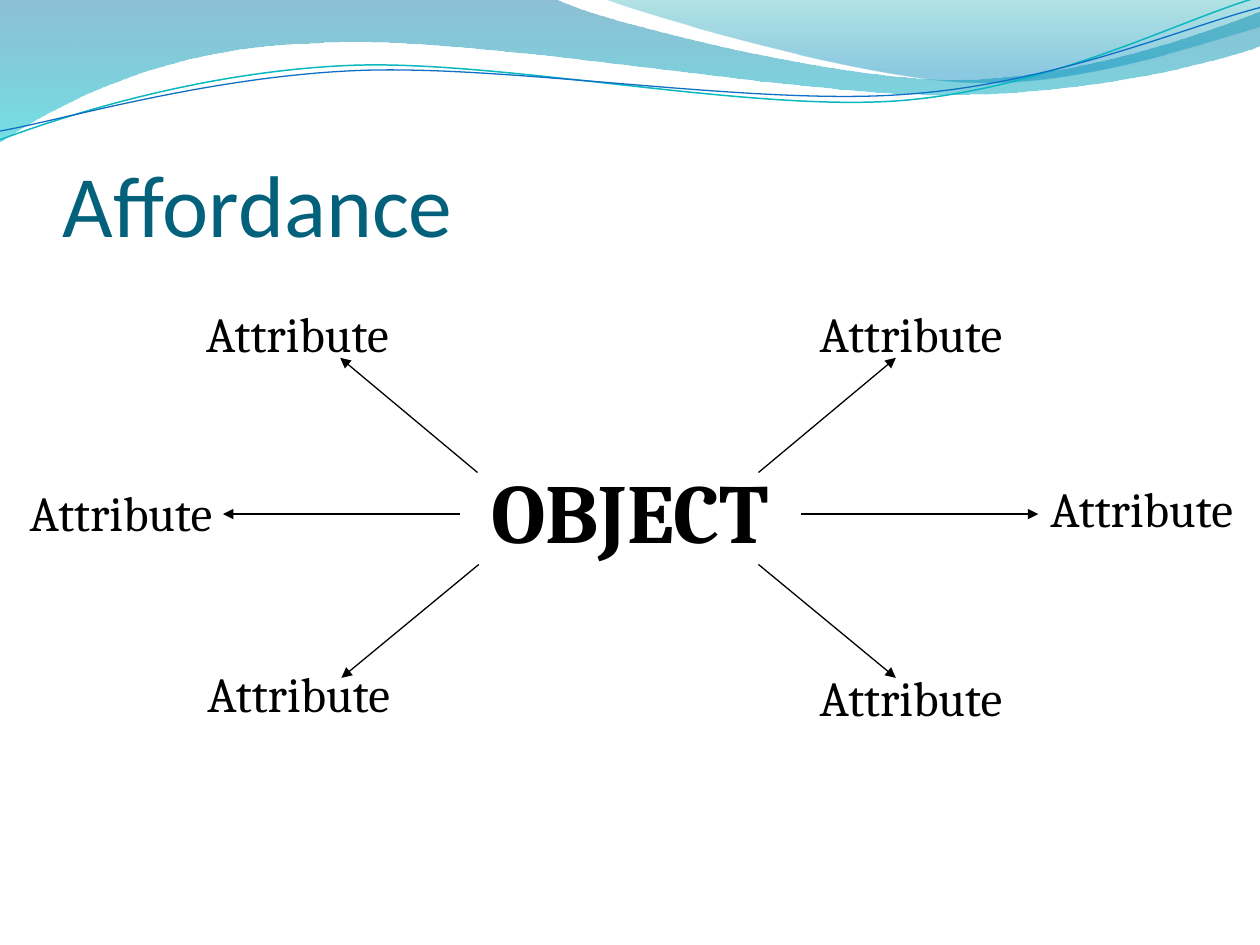
from collections import namedtuple
from math import cos, radians, sin

from lxml.etree import SubElement
from pptx import Presentation
from pptx.dml.color import RGBColor
from pptx.enum.shapes import MSO_CONNECTOR
from pptx.enum.text import MSO_ANCHOR, PP_ALIGN
from pptx.oxml.ns import qn
from pptx.util import Inches, Pt

Box = namedtuple("Box", "left top width height")

BLACK = RGBColor(0x00, 0x00, 0x00)
TITLE_TEAL = RGBColor(0x04, 0x61, 0x7B)
DEEP_BLUE = RGBColor(0x00, 0x74, 0xA1)
AQUA = RGBColor(0x00, 0xC6, 0xCF)
SEA_GREEN = RGBColor(0x00, 0xA1, 0xA9)
SKY_BLUE = RGBColor(0x00, 0x8B, 0xBF)
LINE_TEAL = RGBColor(0x0A, 0xB8, 0xBF)
LINE_BLUE = RGBColor(0x0F, 0x6F, 0xC6)

LABEL_SIZE = (1.78, 1.04)
RIPPLE_ANGLE = -2.7

# Each wave: frame, then straight (2 numbers) or cubic (6 numbers) segments,
# then gradient stops as (position, colour, opacity in percent).
WAVES = [
    (Box(-0.01, -0.01, 10.02, 1.14),
     [(0, 0), (4.4, -0.01), (4.76, 0.17, 6.64, 0.63, 7.58, 0.63),
      (8.53, 0.63, 9.58, 0.26, 10, 0.09), (10.01, 0.36),
      (9.83, 0.44, 8.7, 0.76, 7.46, 0.75),
      (6.22, 0.75, 3.82, 0.28, 2.57, 0.34),
      (1.29, 0.36, 0.46, 0.83, -0.01, 1.13), (0, 0)],
     [(0, DEEP_BLUE, 45), (1, AQUA, 55)]),
    (Box(4.79, -0.01, 5.21, 0.7),
     [(4.79, -0.01), (5.09, 0.11, 6.82, 0.62, 7.69, 0.65),
      (8.56, 0.69, 9.61, 0.32, 10, 0.21), (10, 0), (4.79, -0.01)],
     [(0, SEA_GREEN, 30), (0.8, SKY_BLUE, 45)]),
]
RIPPLES = [
    (Box(-0.02, 0.22, 10.02, 0.71),
     [(0, 1.11), (0.48, 0.93, 1.58, 0.57, 2.77, 0.52),
      (3.95, 0.47, 5.93, 0.89, 7.13, 0.8),
      (8.33, 0.71, 9.38, 0.15, 9.98, -0.02)], LINE_TEAL, 0.85),
    (Box(-0.02, 0.3, 10.03, 0.58),
     [(0, 1.04), (0.47, 0.96, 1.64, 0.61, 2.83, 0.56),
      (4.03, 0.51, 5.97, 0.84, 7.17, 0.75),
      (8.36, 0.67, 9.41, 0.21, 10, 0.06)], LINE_BLUE, 0.75),
]

# Arrow start, arrow end and label corner, measured from the hub.
SPOKES = [
    ((1.02, -0.33), (2.11, -1.24), (1.34, -1.72)),
    ((1.36, 0), (3.24, 0), (3.17, -0.33)),
    ((-1.35, 0), (-3.23, 0), (-4.93, -0.3)),
    ((-1.21, -0.33), (-2.3, -1.24), (-3.53, -1.72)),
    ((1.02, 0.4), (2.11, 1.3), (1.34, 1.17)),
    ((-1.2, 0.4), (-2.29, 1.3), (-3.52, 1.14)),
]


def add_curve(slide, origin, frame, segments, close, angle=0):
    """Draw segments as true curves inside a frame turned by angle."""
    turn = radians(-angle)
    mid_x = frame.left + frame.width / 2
    mid_y = frame.top + frame.height / 2

    def to_frame(x, y):
        dx, dy = x - mid_x, y - mid_y
        return (Inches(dx * cos(turn) - dy * sin(turn) + frame.width / 2),
                Inches(dx * sin(turn) + dy * cos(turn) + frame.height / 2))

    builder = slide.shapes.build_freeform(0, 0)
    builder.add_line_segments([(Inches(frame.width), Inches(frame.height))],
                              close=close)
    curve = builder.convert_to_shape()
    curve.left = Inches(origin.left + frame.left)
    curve.top = Inches(origin.top + frame.top)
    curve.rotation = angle
    curve.shadow.inherit = False

    outline = next(curve._element.iter(qn("a:path")))
    for command in list(outline):
        outline.remove(command)
    for index, segment in enumerate(segments):
        tag = "a:cubicBezTo" if len(segment) == 6 else "a:lnTo"
        command = SubElement(outline, qn(tag if index else "a:moveTo"))
        for x, y in zip(segment[::2], segment[1::2]):
            across, down = to_frame(x, y)
            SubElement(command, qn("a:pt"), x=str(int(across)), y=str(int(down)))
    if close:
        SubElement(outline, qn("a:close"))
    return curve


def add_header_waves(slide, box):
    for frame, segments, stops in WAVES:
        wave = add_curve(slide, box, frame, segments, close=True)
        wave.line.fill.background()
        wave.fill.gradient()
        wave.fill.gradient_angle = 270
        for stop, (position, color, _) in zip(wave.fill.gradient_stops, stops):
            stop.position = position
            stop.color.rgb = color
        for rgb, (_, _, opacity) in zip(wave._element.spPr.iter(qn("a:srgbClr")), stops):
            SubElement(rgb, qn("a:alpha"), val=str(opacity * 1000))
    for frame, segments, color, width in RIPPLES:
        ripple = add_curve(slide, box, frame, segments, close=False,
                           angle=RIPPLE_ANGLE)
        ripple.fill.background()
        ripple.line.color.rgb = color
        ripple.line.width = Pt(width)


def add_text(slide, box, text, font_name, size, color=BLACK, bold=False,
             align=PP_ALIGN.CENTER):
    frame = slide.shapes.add_textbox(*map(Inches, box)).text_frame
    frame.word_wrap = True
    paragraph = frame.paragraphs[0]
    paragraph.alignment = align
    run = paragraph.add_run()
    run.text = text
    run.font.name = font_name
    run.font.size = Pt(size)
    run.font.bold = bold
    run.font.color.rgb = color
    return frame


def add_title(slide, box):
    frame = add_text(slide, box, "Affordance", "Calibri", 50, TITLE_TEAL,
                     align=PP_ALIGN.LEFT)
    frame.vertical_anchor = MSO_ANCHOR.BOTTOM
    frame.margin_left = frame.margin_right = frame.margin_bottom = 0


def add_arrow(slide, start, end):
    arrow = slide.shapes.add_connector(
        MSO_CONNECTOR.STRAIGHT, *map(Inches, start + end))
    arrow.line.color.rgb = BLACK
    arrow.line.width = Pt(0.75)
    SubElement(arrow.line._get_or_add_ln(), qn("a:tailEnd"), type="triangle")
    SubElement(arrow._element.spPr, qn("a:effectLst"))


def add_attribute_map(slide, box):
    hub_frame = add_text(slide, box, "OBJECT", "Cambria", 48, bold=True)
    hub_frame.margin_top = Inches(1.53)
    hub_x = box.left + box.width / 2
    hub_y = box.top + 1.96

    def from_hub(offset):
        return hub_x + offset[0], hub_y + offset[1]

    for start, end, _ in SPOKES:
        add_arrow(slide, from_hub(start), from_hub(end))
    for _, _, corner in SPOKES:
        add_text(slide, Box(*from_hub(corner), *LABEL_SIZE),
                 "Attribute", "Cambria", 28)


def main():
    deck = Presentation()
    deck.slide_width = Inches(10)
    deck.slide_height = Inches(7.5)
    slide = deck.slides.add_slide(deck.slide_layouts[6])
    add_header_waves(slide, Box(0, 0, 10, 1.13))
    add_title(slide, Box(0.5, 0.77, 9, 1.25))
    add_attribute_map(slide, Box(0.05, 2.12, 9.9, 4.8))
    deck.save("out.pptx")


if __name__ == "__main__":
    main()
